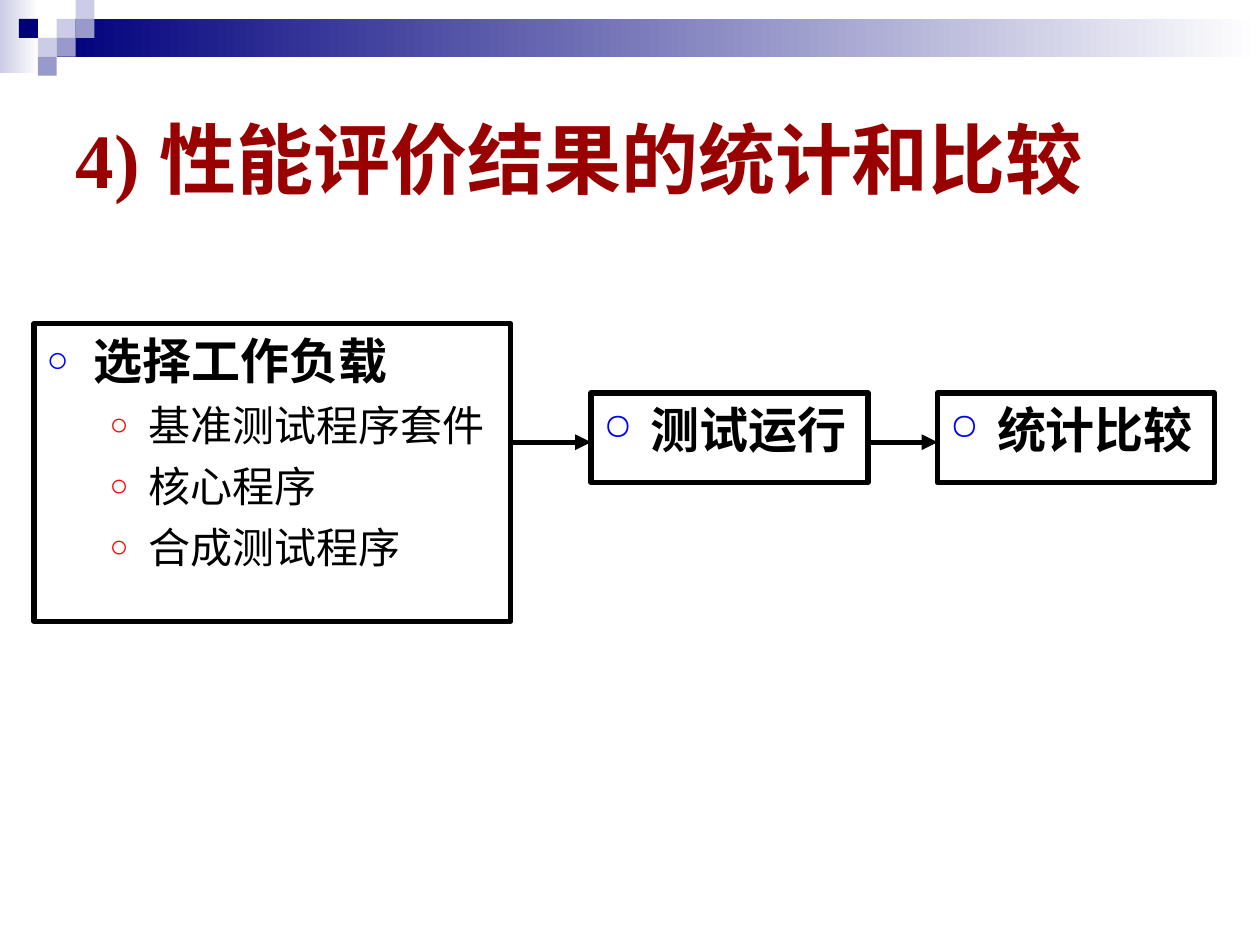
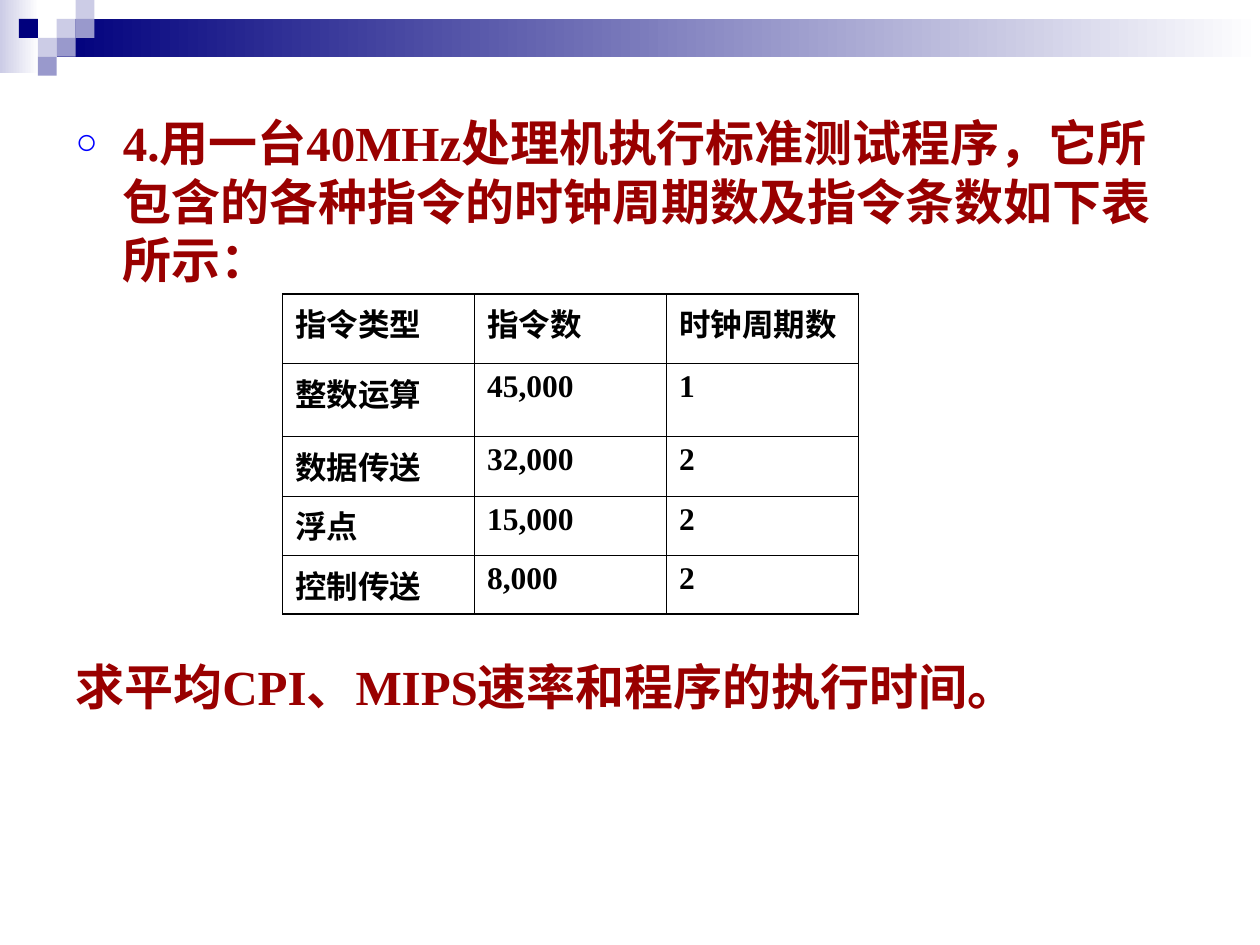
from typing import Any, NamedTuple, Optional

import pptx
import pptx.dml.color
import pptx.enum.dml
import pptx.enum.shapes
import pptx.enum.text
import pptx.oxml.ns
import pptx.oxml.xmlchemy
import pptx.util
from lxml import etree

Pt = pptx.util.Pt
RGBColor = pptx.dml.color.RGBColor
Anchor = pptx.enum.text.MSO_ANCHOR
RECTANGLE = pptx.enum.shapes.MSO_SHAPE.RECTANGLE

NAVY = RGBColor(0x00, 0x00, 0x7D)
LAVENDER = RGBColor(0xCC, 0xCC, 0xE6)
PERIWINKLE = RGBColor(0x99, 0x99, 0xCC)
WHITE = RGBColor(0xFF, 0xFF, 0xFF)
BLACK = RGBColor(0x00, 0x00, 0x00)
DARK_RED = RGBColor(0x99, 0x00, 0x00)
BLUE = RGBColor(0x00, 0x00, 0xFF)
RED = RGBColor(0xFF, 0x00, 0x00)

FONT = "Times New Roman"
TILE = 10.8
BOX_LINE = 3
THICK_BORDER, THIN_BORDER = 1.08, 0.45


class Frame(NamedTuple):
    left: float
    top: float
    width: float
    height: float

    def lengths(self) -> list[int]:
        return [Pt(value) for value in self]


class Band(NamedTuple):
    frame: Frame
    start: RGBColor


class Tile(NamedTuple):
    column: int
    row: int
    color: RGBColor


class Style(NamedTuple):
    size: float
    color: RGBColor = BLACK
    bold: bool = True
    level: int = 0
    margin: float = 0
    indent: float = 0
    bullet: Optional[RGBColor] = None
    space_before: float = 0


class Line(NamedTuple):
    text: str
    style: Style


BANDS = [Band(Frame(0, 0, 22.3, 41.8), LAVENDER), Band(Frame(32.4, 10.8, 687.6, 21.6), NAVY)]
TILES = [
    Tile(3, 1, LAVENDER), Tile(4, 0, LAVENDER), Tile(4, 1, PERIWINKLE), Tile(2, 2, LAVENDER),
    Tile(1, 1, NAVY), Tile(3, 2, PERIWINKLE), Tile(2, 3, PERIWINKLE),
]

TITLE = Style(44, DARK_RED)
HEADING = Style(28, margin=27, indent=-27, bullet=BLUE)
ITEM = Style(24, bold=False, level=1, margin=58.5, indent=-22.5, bullet=RED, space_before=6)
QUESTION = HEADING._replace(color=DARK_RED)
TASK = QUESTION._replace(bullet=None, space_before=210)
CELL = Style(18)

WORKLOAD_FRAME = Frame(19.4, 185, 272.4, 170)
STEP_FRAMES = [Frame(337.7, 224.6, 158.4, 51.1), Frame(535.7, 224.6, 158.4, 51.1)]
ARROW_Y = 252.7

INSTRUCTIONS = [
    ["指令类型", "指令数", "时钟周期数"],
    ["整数运算", "45,000", "1"],
    ["数据传送", "32,000", "2"],
    ["浮点", "15,000", "2"],
    ["控制传送", "8,000", "2"],
]
TABLE_FRAME = Frame(161.5, 168, 329.1, 182.9)
ROW_HEIGHTS = [39.6, 41.8, 34, 34, 33.5]


def set_all(target: Any, values: dict[str, Any]) -> None:
    for name, value in values.items():
        setattr(target, name, value)


def add_element(parent: Any, tag: str, **attributes: str) -> Any:
    return etree.SubElement(parent, pptx.oxml.ns.qn(tag), attributes)


def place(shape: Any, frame: Frame) -> None:
    set_all(shape, dict(zip(Frame._fields, frame.lengths())))


def write_line(paragraph: Any, line: Line) -> None:
    style = line.style
    properties = paragraph._p.get_or_add_pPr()
    properties.set("marL", str(Pt(style.margin)))
    properties.set("indent", str(Pt(style.indent)))
    if style.bullet is None:
        add_element(properties, "a:buNone")
    else:
        add_element(add_element(properties, "a:buClr"), "a:srgbClr", val=str(style.bullet))
        add_element(properties, "a:buSzPct", val="75000")
        add_element(properties, "a:buChar", char="○")
    set_all(paragraph, {
        "level": style.level,
        "alignment": pptx.enum.text.PP_ALIGN.LEFT,
        "space_before": Pt(style.space_before),
    })
    run = paragraph.add_run()
    run.text = line.text
    set_all(run.font, {"name": FONT, "size": Pt(style.size), "bold": style.bold})
    run.font.color.rgb = style.color


def write_lines(text_frame: Any, lines: list[Line], anchor: Any = Anchor.TOP) -> None:
    set_all(text_frame, {
        "word_wrap": True,
        "auto_size": pptx.enum.text.MSO_AUTO_SIZE.NONE,
        "vertical_anchor": anchor,
    })
    for index, line in enumerate(lines):
        paragraph = text_frame.add_paragraph() if index else text_frame.paragraphs[0]
        write_line(paragraph, line)


def outline(shape: Any) -> None:
    shape.line.color.rgb = BLACK
    shape.line.width = Pt(BOX_LINE)


def add_rectangle(shapes: Any, frame: Frame) -> Any:
    shape = shapes.add_shape(RECTANGLE, *frame.lengths())
    shape.shadow.inherit = False
    return shape


def decorate_master(presentation: Any, slide: Any) -> None:
    """Draw the top decoration as a group and hand it to the slide master."""
    group = slide.shapes.add_group_shape()
    for band in BANDS:
        shape = add_rectangle(group.shapes, band.frame)
        shape.line.fill.background()
        shape.fill.gradient()
        shape.fill.gradient_angle = 0
        for stop, color in zip(shape.fill.gradient_stops, (band.start, WHITE)):
            stop.color.rgb = color
    for tile in TILES:
        frame = Frame(tile.column * TILE, tile.row * TILE, TILE, TILE)
        shape = add_rectangle(group.shapes, frame)
        shape.line.fill.background()
        shape.fill.solid()
        shape.fill.fore_color.rgb = tile.color
    presentation.slide_master.element.cSld.spTree.insert(2, group.element)


def add_step(slide: Any, frame: Frame, text: str) -> None:
    shape = add_rectangle(slide.shapes, frame)
    shape.fill.background()
    outline(shape)
    write_lines(shape.text_frame, [Line(text, HEADING)])


def add_arrow(slide: Any, start: Frame, end: Frame) -> None:
    connector = slide.shapes.add_connector(
        pptx.enum.shapes.MSO_CONNECTOR.STRAIGHT,
        Pt(start.left + start.width), Pt(ARROW_Y), Pt(end.left), Pt(ARROW_Y),
    )
    outline(connector)
    add_element(connector.line._get_or_add_ln(), "a:tailEnd", type="triangle")
    add_element(connector._element.spPr, "a:effectLst")


def set_borders(cell: Any, outer_sides: dict[str, bool]) -> None:
    properties = cell._tc.get_or_add_tcPr()
    for side, is_outer in outer_sides.items():
        width = THICK_BORDER if is_outer else THIN_BORDER
        border = add_element(properties, f"a:ln{side}", w=str(Pt(width)))
        add_element(add_element(border, "a:solidFill"), "a:srgbClr", val=str(BLACK))


def add_instruction_table(slide: Any) -> None:
    row_count, column_count = len(INSTRUCTIONS), len(INSTRUCTIONS[0])
    table = slide.shapes.add_table(row_count, column_count, *TABLE_FRAME.lengths()).table
    set_all(table, {"first_row": False, "horz_banding": False})
    for column in table.columns:
        column.width = Pt(TABLE_FRAME.width / column_count)
    for row_index, (height, texts) in enumerate(zip(ROW_HEIGHTS, INSTRUCTIONS)):
        table.rows[row_index].height = Pt(height)
        for column_index, text in enumerate(texts):
            cell = table.cell(row_index, column_index)
            set_borders(cell, {
                "L": column_index == 0,
                "R": column_index == column_count - 1,
                "T": row_index == 0,
                "B": row_index == row_count - 1,
            })
            cell.fill.background()
            write_line(cell.text_frame.paragraphs[0], Line(text, CELL))


def build_process_slide(slide: Any) -> None:
    title, body = slide.placeholders
    place(title, Frame(36, 36, 648, 108))
    write_lines(title.text_frame, [Line("4) 性能评价结果的统计和比较", TITLE)], Anchor.MIDDLE)
    place(body, WORKLOAD_FRAME)
    outline(body)
    items = ["基准测试程序套件", "核心程序", "合成测试程序"]
    write_lines(body.text_frame,
                [Line("选择工作负载", HEADING)] + [Line(item, ITEM) for item in items])
    for frame, text in zip(STEP_FRAMES, ["测试运行", "统计比较"]):
        add_step(slide, frame, text)
    for start, end in zip([WORKLOAD_FRAME] + STEP_FRAMES, STEP_FRAMES):
        add_arrow(slide, start, end)


def build_exercise_slide(slide: Any) -> None:
    title, body = slide.placeholders
    title.element.getparent().remove(title.element)
    place(body, Frame(36, 60.5, 630, 401.8))
    write_lines(body.text_frame, [
        Line("4.用一台40MHz处理机执行标准测试程序，它所包含的各种指令的时钟周期数及指令条数如下表所示：",
             QUESTION),
        Line("求平均CPI、MIPS速率和程序的执行时间。", TASK),
    ])
    add_instruction_table(slide)


def main() -> None:
    presentation = pptx.Presentation()
    set_all(presentation, {"slide_width": Pt(720), "slide_height": Pt(540)})
    layout = presentation.slide_layouts.get_by_name("Title and Content")
    process_slide, exercise_slide = [presentation.slides.add_slide(layout) for _ in range(2)]
    decorate_master(presentation, process_slide)
    build_process_slide(process_slide)
    build_exercise_slide(exercise_slide)
    presentation.save("out.pptx")


if __name__ == "__main__":
    main()
